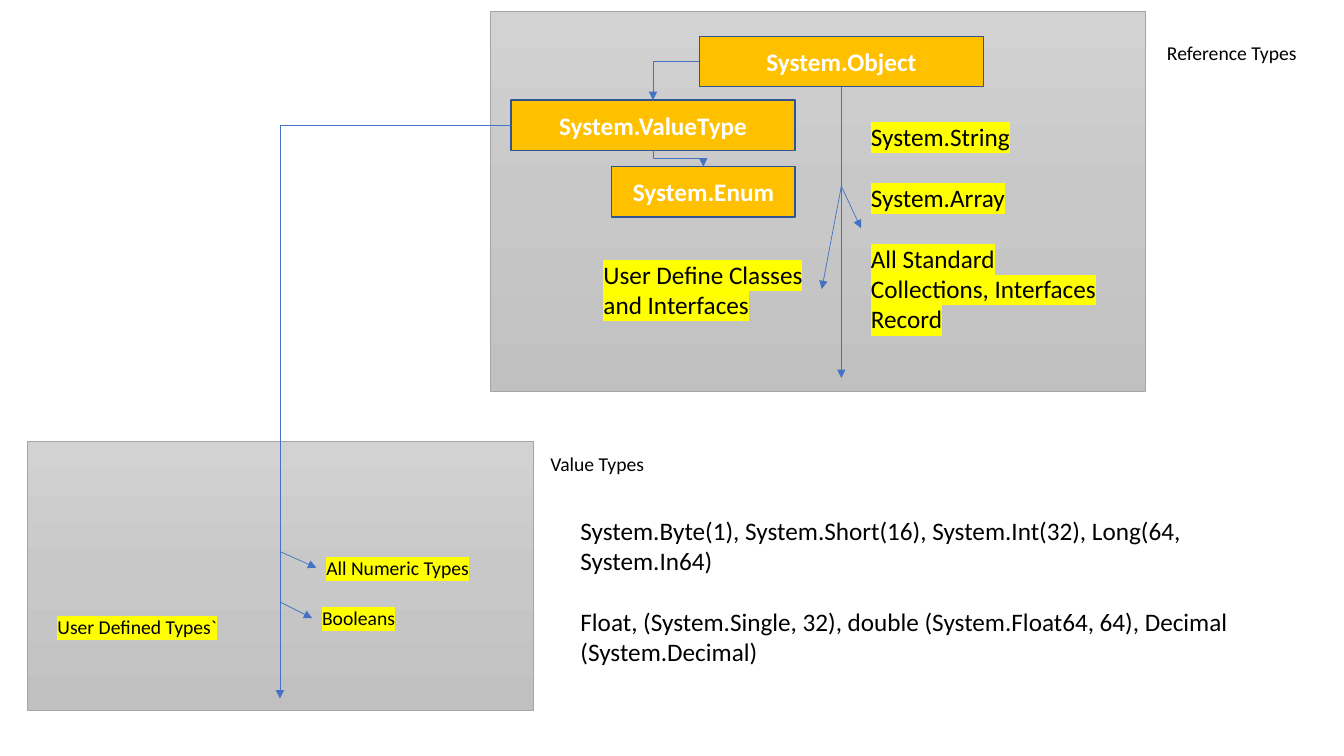
import copy
from dataclasses import dataclass

import pptx
import pptx.dml.color
import pptx.enum.shapes
import pptx.enum.text
import pptx.oxml
import pptx.oxml.ns
import pptx.util

Pt = pptx.util.Pt
qn = pptx.oxml.ns.qn
NAMESPACE = pptx.oxml.ns.nsdecls("a")


def rgb(value):
    return pptx.dml.color.RGBColor.from_string(value)


@dataclass(frozen=True)
class Theme:
    font: str = "Calibri"
    text: str = "000000"
    class_text: str = "FFFFFF"
    class_fill: str = "FFC000"
    class_line: str = "325491"
    panel_stops: tuple = ((0, "D2D2D2"), (0.5, "C8C8C8"), (1, "C0C0C0"))
    panel_line: str = "A5A5A5"
    arrow: str = "4472C4"
    marker: str = "FFFF00"
    small: int = 14
    large: int = 18
    blank_line: int = 22


class TypeDiagram:
    def __init__(self, slide, theme):
        self.shapes = slide.shapes
        self.theme = theme

    def rectangle(self, left, top, width, height, line, weight):
        box = self.shapes.add_shape(
            pptx.enum.shapes.MSO_SHAPE.RECTANGLE,
            Pt(left), Pt(top), Pt(width), Pt(height))
        box.shadow.inherit = False
        box.line.color.rgb = rgb(line)
        box.line.width = Pt(weight)
        return box

    def panel(self, left, top, width, height):
        box = self.rectangle(left, top, width, height, self.theme.panel_line, 0.5)
        box.fill.gradient()
        box.fill.gradient_angle = 270
        stop_list = box._element.spPr.find(".//" + qn("a:gsLst"))
        stop_list.append(copy.deepcopy(stop_list[-1]))
        for stop, (position, color) in zip(box.fill.gradient_stops, self.theme.panel_stops):
            stop.position = position
            stop.color.rgb = rgb(color)

    def class_box(self, name, left, top, width, height=36):
        box = self.rectangle(left, top, width, height, self.theme.class_line, 1)
        box.fill.solid()
        box.fill.fore_color.rgb = rgb(self.theme.class_fill)
        box.text_frame.text = name
        box.text_frame.vertical_anchor = pptx.enum.text.MSO_ANCHOR.MIDDLE
        para = box.text_frame.paragraphs[0]
        para.alignment = pptx.enum.text.PP_ALIGN.CENTER
        self.format_span(para.runs[0], self.theme.large, self.theme.class_text)
        para.runs[0].font.bold = True

    def format_span(self, span, size, color, marked=False):
        span.font.size = Pt(size)
        span.font.color.rgb = rgb(color)
        if marked:
            span.font._element.append(pptx.oxml.parse_xml(
                f'<a:highlight {NAMESPACE}><a:srgbClr val="{self.theme.marker}"/></a:highlight>'))
        span.font.name = self.theme.font

    def label(self, lines, left, top, width, height, size, marked=False, spaced=()):
        box = self.shapes.add_textbox(Pt(left), Pt(top), Pt(width), Pt(height))
        box.text_frame.text = "\n".join(lines)
        box.text_frame.word_wrap = True
        for index, para in enumerate(box.text_frame.paragraphs):
            if index in spaced:
                para.space_before = Pt(self.theme.blank_line)
            self.format_span(para.runs[0], size, self.theme.text, marked)

    def arrow(self, start, end, bend=None):
        kinds = pptx.enum.shapes.MSO_CONNECTOR
        connector = self.shapes.add_connector(
            kinds.ELBOW if bend else kinds.STRAIGHT, *map(Pt, start + end))
        connector.line.color.rgb = rgb(self.theme.arrow)
        connector.line.width = Pt(0.5)
        properties = connector._element.spPr
        properties.find(qn("a:ln")).append(
            pptx.oxml.parse_xml(f'<a:tailEnd {NAMESPACE} type="triangle"/>'))
        properties.append(pptx.oxml.parse_xml(f"<a:effectLst {NAMESPACE}/>"))
        if bend == "corner":
            properties.find(qn("a:prstGeom")).set("prst", "bentConnector2")
        elif bend == "step down":
            across, down = end[0] - start[0], end[1] - start[1]
            connector.left = Pt(start[0] + (across - down) / 2)
            connector.top = Pt(start[1] + (down - across) / 2)
            connector.width, connector.height = Pt(down), Pt(across)
            transform = properties.find(qn("a:xfrm"))
            transform.set("rot", str(270 * 60000))
            transform.set("flipH", "1")


def main():
    deck = pptx.Presentation()
    deck.slide_width, deck.slide_height = Pt(960), Pt(540)
    page = deck.slides.add_slide(deck.slide_layouts.get_by_name("Blank"))
    theme = Theme()
    diagram = TypeDiagram(page, theme)

    diagram.panel(350, 8, 468, 271.5)
    diagram.label(["Reference Types"], 826.5, 26, 127, 24.5, theme.small)
    diagram.class_box("System.Object", 499.5, 26, 203)
    diagram.class_box("System.ValueType", 365, 71.5, 203)
    diagram.arrow((499.5, 44), (466.5, 71.5), "corner")
    diagram.class_box("System.Enum", 437, 119, 131)
    diagram.arrow((466.5, 107.5), (502.5, 119), "step down")

    diagram.panel(19.5, 315.5, 361.5, 192)
    diagram.label(["Value Types"], 386, 319, 127, 24.5, theme.small)
    diagram.arrow((365, 89.5), (200, 499), "corner")
    value_labels = [
        ("All Numeric Types", 226, 393.5),
        ("Booleans", 223, 429.5),
        ("User Defined Types`", 34, 436),
    ]
    for name, left, top in value_labels:
        diagram.label([name], left, top, 152, 24.5, theme.small, marked=True)

    diagram.label(
        ["System.String", "System.Array", "All Standard Collections, Interfaces", "Record"],
        615, 83, 188.5, 160, theme.large, marked=True, spaced=(1, 2))
    diagram.label(["User Define Classes and Interfaces"],
                  424, 181.5, 163.5, 51, theme.large, marked=True)
    straight_arrows = [
        ((200, 394), (226, 405.5)),
        ((200, 430), (223, 441.5)),
        ((601, 62), (601, 270)),
        ((601, 133), (615, 163)),
        ((601, 133), (587, 206.5)),
    ]
    for start, end in straight_arrows:
        diagram.arrow(start, end)

    diagram.label(
        ["System.Byte(1), System.Short(16), System.Int(32), Long(64, System.In64)",
         "Float, (System.Single, 32), double (System.Float64, 64), Decimal (System.Decimal)"],
        407.5, 364.5, 528, 116.5, theme.large, spaced=(1,))
    deck.save("out.pptx")


if __name__ == "__main__":
    main()
